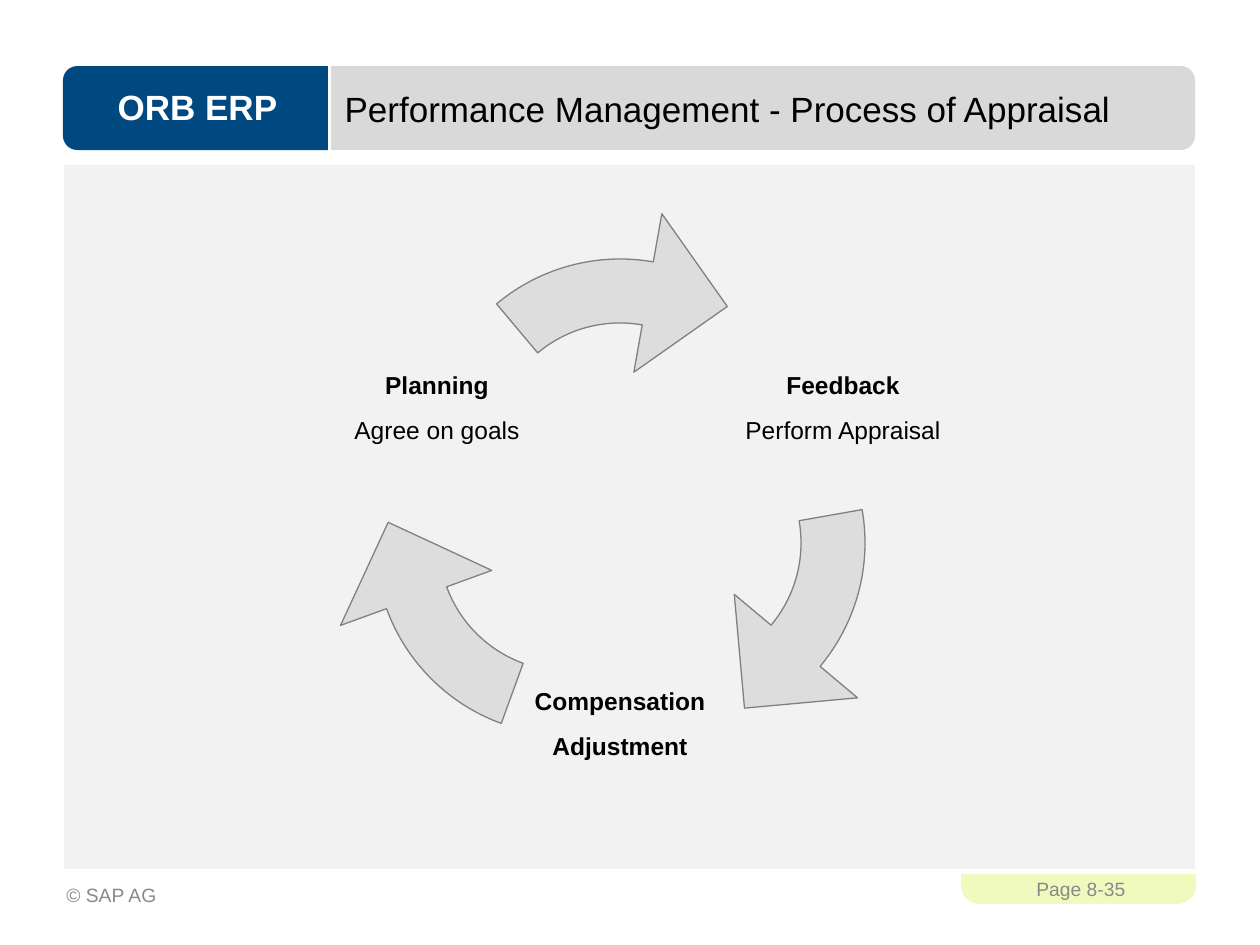
import math

from lxml import etree
from pptx import Presentation
from pptx import util as u
from pptx.dml.color import RGBColor
from pptx.enum import shapes, text
from pptx.oxml.ns import qn

EMU_PER_PX = 914400 / 126
WHITE = RGBColor(0xFF, 0xFF, 0xFF)
BLACK = RGBColor(0, 0, 0)
NAVY = RGBColor(0x00, 0x48, 0x80)
BAR_GREY = RGBColor(0xD9, 0xD9, 0xD9)
PANEL_GREY = RGBColor(0xF2, 0xF2, 0xF2)
ARROW_GREY = RGBColor(0xDD, 0xDD, 0xDD)
OUTLINE_GREY = RGBColor(0x80, 0x80, 0x80)
FOOTER_GREY = RGBColor(0x89, 0x89, 0x89)
LIME = RGBColor(0xF1, 0xFA, 0xBE)


def px(*lengths):
    return [u.Emu(round(length * EMU_PER_PX)) for length in lengths]


def write(frame, lines, align, size, color):
    """Fill a text frame with (text, bold) lines."""
    frame.vertical_anchor = text.MSO_ANCHOR.MIDDLE
    for i, (words, bold) in enumerate(lines):
        paragraph = frame.paragraphs[0] if i == 0 else frame.add_paragraph()
        paragraph.alignment = align
        if i:
            paragraph.space_before = u.Pt(9)
        run = paragraph.add_run()
        run.text = words
        font_format = {"name": "Arial", "size": u.Pt(size), "bold": bold}
        for key, value in font_format.items():
            setattr(run.font, key, value)
        run.font.color.rgb = color


prs = Presentation()
prs.slide_width, prs.slide_height = px(1260, 945)
slide = prs.slides.add_slide(prs.slide_layouts[5])
LEFT, CENTER = text.PP_ALIGN.LEFT, text.PP_ALIGN.CENTER
KIND = shapes.MSO_SHAPE

# Page tab, the strip that covers its top, content panel and header halves
for kind, place, rotation, rounding, color in [
    (KIND.ROUNDED_RECTANGLE, (961, 854, 235, 50), 0, 0.37, LIME),
    (KIND.RECTANGLE, (946, 844, 281, 30), 0, None, WHITE),
    (KIND.RECTANGLE, (64, 165, 1131, 704), 0, None, PANEL_GREY),
    (KIND.ROUND_2_SAME_RECTANGLE, (721, -324, 84, 864), 90, 0.17, BAR_GREY),
    (KIND.ROUND_2_SAME_RECTANGLE, (153.5, -24.5, 84, 265), 270, 0.17, NAVY),
]:
    block = slide.shapes.add_shape(kind, *px(*place))
    block.rotation = rotation
    block.shadow.inherit = False
    block.fill.solid()
    block.fill.fore_color.rgb = color
    block.line.fill.background()
    if rounding:
        block.adjustments[0] = rounding

# Title, brought in front of its bar
title = slide.shapes.title
title.left, title.top, title.width, title.height = px(332, 67, 840, 82)
write(title.text_frame, [("Performance Management - Process of Appraisal", False)],
      LEFT, 20, BLACK)
title.element.getparent().append(title.element)

# Product name and footer
for words, bold, place, align, size, color in [
    ("ORB ERP", True, (65, 65, 265, 84), CENTER, 20, WHITE),
    ("Page 8-35", False, (967, 864, 228, 50), CENTER, 11, FOOTER_GREY),
    ("© SAP AG", False, (54, 870, 568, 50), LEFT, 11, FOOTER_GREY),
]:
    label = slide.shapes.add_textbox(*px(*place)).text_frame
    label.word_wrap = True
    write(label, [(words, bold)], align, size, color)

# Cycle arrow outline in (radius, degrees); each arc is one cubic curve of 50 degrees
ARROW_BOX = 384
BEND = 4 / 3 * math.tan(math.radians(50 / 4))
REACH, LEAN = math.hypot(1, BEND), math.degrees(math.atan(BEND))
outline = [
    ("moveTo", [(128, -80)]),
    ("cubicBezTo", [(128 * REACH, -80 - LEAN), (128 * REACH, -130 + LEAN), (128, -130)]),
    ("lnTo", [(192, -130)]),
    ("cubicBezTo", [(192 * REACH, -130 + LEAN), (192 * REACH, -80 - LEAN), (192, -80)]),
    ("lnTo", [(241, -80)]),
    ("lnTo", [(180, -53.4)]),
    ("lnTo", [(80, -80)]),
    ("close", []),
]

# The same arrow turned by thirds of a circle
for turn, (left, top) in zip((0, 120, 240), [(428, 259), (481, 351), (375, 351)]):
    right, bottom = left + ARROW_BOX, top + ARROW_BOX
    builder = slide.shapes.build_freeform(*px(left, top))
    builder.add_line_segments([px(right, top), px(right, bottom), px(left, bottom)])
    arrow = builder.convert_to_shape()
    curve = next(arrow.element.iter(qn("a:path")))
    for step in list(curve):
        curve.remove(step)
    for command, points in outline:
        step = etree.SubElement(curve, qn(f"a:{command}"))
        for radius, degrees in points:
            theta = math.radians(degrees)
            x, y = px(ARROW_BOX / 2 + radius * math.cos(theta),
                      ARROW_BOX / 2 + radius * math.sin(theta))
            etree.SubElement(step, qn("a:pt"), x=str(int(x)), y=str(int(y)))
    arrow.rotation = turn
    arrow.shadow.inherit = False
    arrow.fill.solid()
    arrow.fill.fore_color.rgb = ARROW_GREY
    arrow.line.color.rgb = OUTLINE_GREY
    arrow.line.width = u.Pt(0.75)

# Cycle stages
for place, lines in [
    ((709, 330, 268, 154), [("Feedback", True), ("Perform Appraisal", False)]),
    ((530, 646, 180, 154), [("Compensation", True), ("Adjustment", True)]),
    ((347, 330, 180, 154), [("Planning", True), ("Agree on goals", False)]),
]:
    stage = slide.shapes.add_textbox(*px(*place)).text_frame
    stage.word_wrap = False
    for side in ("left", "top", "right", "bottom"):
        setattr(stage, f"margin_{side}", 0)
    write(stage, lines, CENTER, 14, BLACK)

prs.save("out.pptx")
